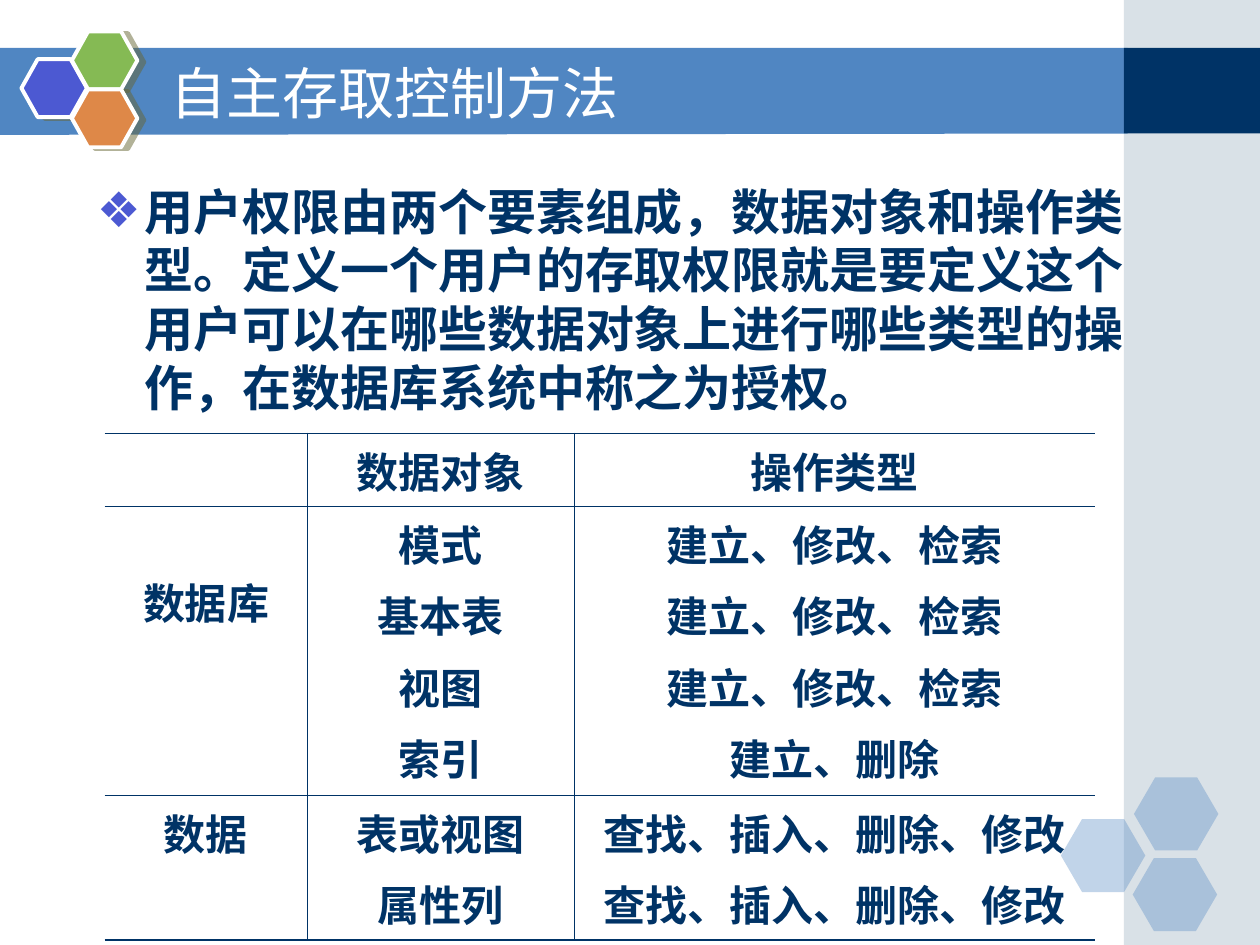
from dataclasses import dataclass

from lxml import etree
from pptx import Presentation
from pptx import util as u
from pptx.dml.color import RGBColor
from pptx.enum import shapes, text
from pptx.oxml.ns import qn


@dataclass
class Theme:
    band: str = "5086C2"
    navy: str = "003366"
    side: str = "A0B5C4"
    violet: str = "4C59D2"
    green: str = "85BA54"
    orange: str = "DE8848"
    white: str = "FFFFFF"
    shadow: str = "666633"
    title_size: float = 32
    body_size: float = 28
    table_size: float = 24
    sans: str = "DejaVu Sans"
    serif: str = "Times New Roman"
    thin: float = 0.45
    thick: float = 1.08


theme = Theme()


def add_plate(kind, left, top, width, height, color, opacity=100):
    plate = page.shapes.add_shape(
        kind, u.Inches(left), u.Inches(top), u.Inches(width), u.Inches(height))
    plate.shadow.inherit = False
    plate.fill.solid()
    plate.fill.fore_color.rgb = RGBColor.from_string(color)
    plate.line.fill.background()
    if opacity < 100:
        tint = plate.element.spPr.find(qn("a:solidFill")).find(qn("a:srgbClr"))
        etree.SubElement(tint, qn("a:alpha"), val=str(opacity * 1000))
    return plate


def write(para, words, size, font, color, bold):
    para.text = words
    for span in para.runs:
        span.font.size = u.Pt(size)
        span.font.name = font
        span.font.bold = bold
        span.font.color.rgb = RGBColor.from_string(color)


deck = Presentation()
deck.slide_width, deck.slide_height = u.Inches(10), u.Inches(7.5)
page = deck.slides.add_slide(deck.slide_layouts[5])

outline = page.shapes.build_freeform(u.Inches(-0.01), u.Inches(0.38))
outline.add_line_segments([
    (u.Inches(8.95), u.Inches(0.38)),
    (u.Inches(8.95), u.Inches(1.06)),
    (u.Inches(-0.01), u.Inches(1.07)),
])
band = outline.convert_to_shape()
band.shadow.inherit = False
band.fill.solid()
band.fill.fore_color.rgb = RGBColor.from_string(theme.band)
band.line.fill.background()

add_plate(shapes.MSO_SHAPE.RECTANGLE, 8.92, 0, 1.08, 7.5, theme.side, 40)
add_plate(shapes.MSO_SHAPE.RECTANGLE, 8.92, 0.38, 1.08, 0.68, theme.navy)

for left, top in [(8.42, 6.5), (9, 6.17), (8.99, 6.81)]:
    hexagon = add_plate(shapes.MSO_SHAPE.HEXAGON, left, top, 0.67, 0.58, theme.band, 35)
    hexagon.adjustments[0] = 0.29

for left, top, color in [(0.17, 0.47, theme.violet),
                         (0.57, 0.25, theme.green),
                         (0.57, 0.71, theme.orange)]:
    hexagon = add_plate(shapes.MSO_SHAPE.HEXAGON, left, top, 0.52, 0.46, color)
    hexagon.adjustments[0] = 0.28
    hexagon.line.color.rgb = RGBColor.from_string(theme.white)
    hexagon.line.width = u.Pt(2.25)
    effects = hexagon.element.spPr.find(qn("a:effectLst"))
    shade = etree.SubElement(effects, qn("a:outerShdw"), blurRad="0",
                             dist=str(u.Pt(4.1)), dir=str(14 * 60000),
                             algn="ctr", rotWithShape="0")
    tint = etree.SubElement(shade, qn("a:srgbClr"), val=theme.shadow)
    etree.SubElement(tint, qn("a:alpha"), val="50000")

title = page.shapes.title
hexagon.element.addnext(title.element)
title.left, title.top = u.Inches(1.25), u.Inches(0.42)
title.width, title.height = u.Inches(7.33), u.Inches(0.62)
title.text_frame.auto_size = text.MSO_AUTO_SIZE.NONE
title.text_frame.vertical_anchor = text.MSO_ANCHOR.MIDDLE
para = title.text_frame.paragraphs[0]
write(para, "自主存取控制方法", theme.title_size, theme.sans, theme.white, False)
para.alignment = text.PP_ALIGN.LEFT

box = page.shapes.add_textbox(u.Inches(0.67), u.Inches(1.39), u.Inches(8.5), u.Inches(2.46))
box.text_frame.word_wrap = True
para = box.text_frame.paragraphs[0]
write(para, "用户权限由两个要素组成，数据对象和操作类型。定义一个用户的存取权限就是要定义这个"
      "用户可以在哪些数据对象上进行哪些类型的操作，在数据库系统中称之为授权。",
      theme.body_size, theme.sans, theme.navy, True)
para.line_spacing = u.Pt(33.5)
para.space_before = u.Pt(7)
layout = para._p.get_or_add_pPr()
layout.set("marL", str(u.Inches(0.38)))
layout.set("indent", str(u.Inches(-0.38)))
bullet_color = etree.SubElement(layout, qn("a:buClr"))
etree.SubElement(bullet_color, qn("a:srgbClr"), val=theme.violet)
etree.SubElement(layout, qn("a:buFont"), typeface=theme.sans)
etree.SubElement(layout, qn("a:buChar"), char="❖")

rows = [
    ("", "数据对象", "操作类型"),
    ("数据库", "模式\n基本表\n视图\n索引",
     "\n".join(["建立、修改、检索"] * 3 + ["建立、删除"])),
    ("数据", "表或视图\n属性列", "\n".join(["查找、插入、删除、修改"] * 2)),
]
row_heights = (0.58, 2.29, 1.15)
table = page.shapes.add_table(3, 3, u.Inches(0.83), u.Inches(3.44),
                              u.Inches(7.86), u.Inches(sum(row_heights))).table
table.first_row = False
table.horz_banding = False
for column, width in zip(table.columns, (1.61, 2.12, 4.13)):
    column.width = u.Inches(width)
for row, height in zip(table.rows, row_heights):
    row.height = u.Inches(height)

for r, row in enumerate(rows):
    for c, words in enumerate(row):
        cell = table.cell(r, c)
        cell.fill.background()
        cell.text_frame.text = words
        for para in cell.text_frame.paragraphs:
            write(para, para.text, theme.table_size, theme.serif, theme.navy, True)
            para.alignment = text.PP_ALIGN.CENTER
            para.space_before = u.Pt(6)
        borders = {
            "a:lnL": theme.thin if c > 0 else 0,
            "a:lnR": theme.thin if c < 2 else 0,
            "a:lnT": theme.thin if r > 0 else theme.thick,
            "a:lnB": theme.thin if r < 2 else theme.thick,
        }
        properties = cell._tc.get_or_add_tcPr()
        for position, (side, weight) in enumerate(borders.items()):
            edge = etree.Element(qn(side), w=str(u.Pt(weight)))
            if weight:
                paint = etree.SubElement(edge, qn("a:solidFill"))
                etree.SubElement(paint, qn("a:srgbClr"), val=theme.navy)
            else:
                etree.SubElement(edge, qn("a:noFill"))
            properties.insert(position, edge)
table.cell(1, 0).margin_top = u.Inches(0.51)

deck.save("out.pptx")
